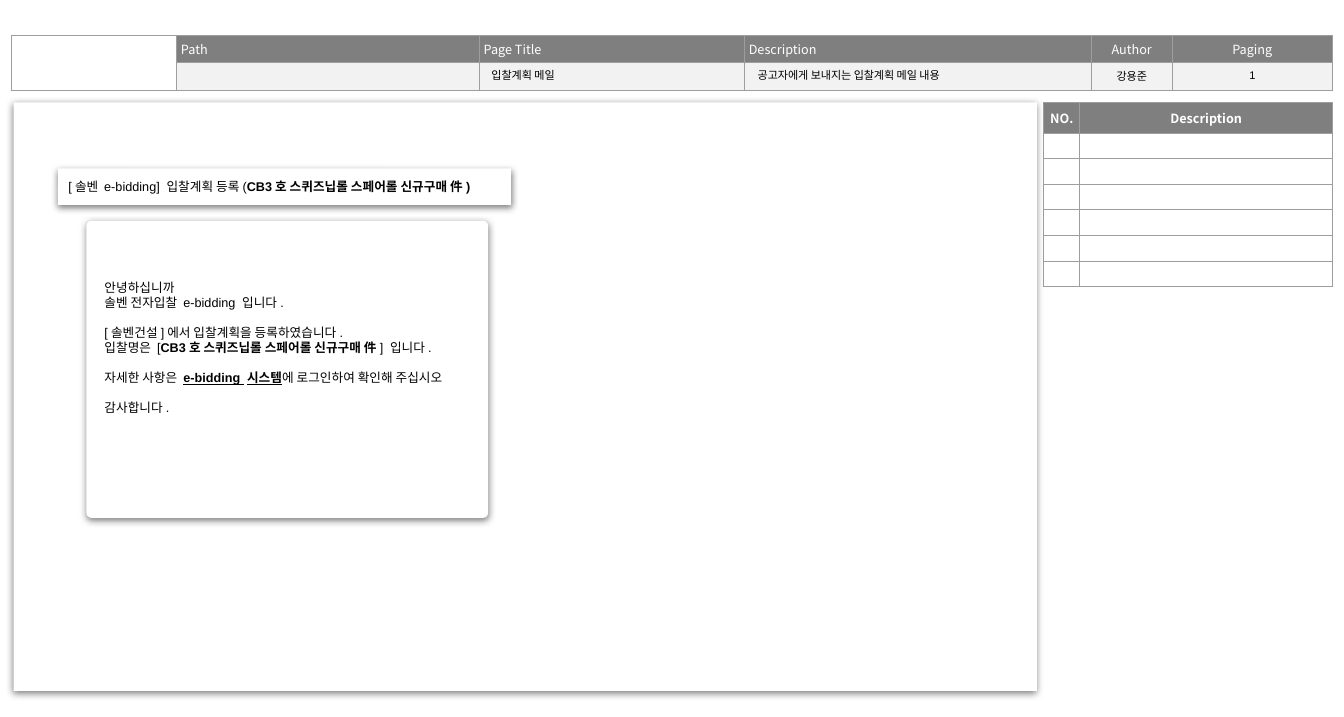
from lxml import etree
from pptx import Presentation
from pptx.dml.color import RGBColor
from pptx.enum.shapes import MSO_SHAPE as Shape
from pptx.enum.text import MSO_ANCHOR as Anchor, MSO_AUTO_SIZE as Fit, PP_ALIGN as Align
from pptx.oxml.ns import qn
from pptx.util import Inches, Pt

WHITE = RGBColor(0xFF, 0xFF, 0xFF)
BLACK = RGBColor(0, 0, 0)
DARK = RGBColor(0x7F, 0x7F, 0x7F)
PALE = RGBColor(0xF2, 0xF2, 0xF2)
RULE = RGBColor(0x9E, 0x9E, 0x9E)
HEAD_FONT = "Noto Sans CJK KR"
BODY_FONT = "Arial"
BID = "CB3호 스퀴즈닙롤 스페어롤 신규구매 件"

# Each part is (text, style); style holds "b" for bold and "u" for underline.
SUBJECT = [("[솔벤 e-bidding] 입찰계획 등록(", ""), (BID + ")", "b")]
# Each line is (starts a new block, parts).
MAIL = [
    (False, [("안녕하십니까", "")]),
    (False, [("솔벤 전자입찰 e-bidding 입니다.", "")]),
    (True, [("[솔벤건설]에서 입찰계획을 등록하였습니다.", "")]),
    (False, [("입찰명은 [", ""), (BID, "b"), ("] 입니다.", "")]),
    (True, [("자세한 사항은 ", ""), ("e-bidding 시스템", "bu"),
            ("에 로그인하여 확인해 주십시오", "")]),
    (True, [("감사합니다.", "")]),
]


def style_run(run, size, color=BLACK, name=BODY_FONT, style=""):
    font = run.font
    font.size, font.name, font.color.rgb = Pt(size), name, color
    font.bold, font.underline = "b" in style, "u" in style


def add_parts(para, parts):
    for text, style in parts:
        run = para.add_run()
        run.text = text
        style_run(run, 8, style=style)


def set_pad(item, pad):
    item.margin_left = item.margin_right = Inches(pad)
    item.margin_top = item.margin_bottom = Inches(pad)


def add_border(cell):
    props = cell._tc.get_or_add_tcPr()
    for side in ("a:lnL", "a:lnR", "a:lnT", "a:lnB"):
        line = etree.SubElement(props, qn(side), w=str(Pt(0.75)))
        fill = etree.SubElement(line, qn("a:solidFill"))
        etree.SubElement(fill, qn("a:srgbClr"), val=str(RULE))


def add_grid(slide, left, top, cols, rows, body):
    """Add a ruled table with a dark first row and the given body fill."""
    frame = slide.shapes.add_table(len(rows), len(cols), Inches(left), Inches(top),
                                   Inches(sum(cols)), Inches(sum(rows)))
    table = frame.table
    table.first_row = table.horz_banding = False
    for col, width in zip(table.columns, cols):
        col.width = Inches(width)
    for index, height in enumerate(rows):
        table.rows[index].height = Inches(height)
        for cell in table.rows[index].cells:
            set_pad(cell, 0.04)
            cell.vertical_anchor = Anchor.MIDDLE
            add_border(cell)
            cell.fill.solid()
            cell.fill.fore_color.rgb = body if index else DARK
            # Small empty text keeps the row at its set height.
            para = cell.text_frame.paragraphs[0]
            etree.SubElement(para._p, qn("a:endParaRPr"), sz="600")
    return table


def set_head(cell, text, align=Align.LEFT, style=""):
    para = cell.text_frame.paragraphs[0]
    para.text = text
    para.alignment = align
    style_run(para.runs[0], 8, WHITE, HEAD_FONT, style)


def add_info(slide):
    cols = [1.45, 2.66, 2.33, 3.05, 0.71, 0.45, 0.44, 0.52]
    table = add_grid(slide, 0.1, 0.31, cols, [0.24] * 2, PALE)
    logo = table.cell(0, 0)
    logo.merge(table.cell(1, 0))
    logo.fill.fore_color.rgb = WHITE
    for row in range(2):
        table.cell(row, 5).merge(table.cell(row, 7))
    for col, text in enumerate(["Path", "Page Title", "Description", "Author", "Paging"], 1):
        set_head(table.cell(0, col), text, Align.CENTER if col > 3 else Align.LEFT)


def add_notes(slide):
    table = add_grid(slide, 9.17, 0.9, [0.32, 2.22], [0.27] + [0.225] * 6, WHITE)
    for col, text in enumerate(["NO.", "Description"]):
        set_head(table.cell(0, col), text, Align.CENTER, "b")


def add_panel(slide, left, top, width, height, kind=Shape.ROUNDED_RECTANGLE, round_by=0.017):
    """Add a white shape without an outline; a rounded one gets a soft shadow."""
    panel = slide.shapes.add_shape(kind, Inches(left), Inches(top),
                                   Inches(width), Inches(height))
    panel.fill.solid()
    panel.fill.fore_color.rgb = WHITE
    panel.line.fill.background()
    panel.shadow.inherit = False
    if kind == Shape.ROUNDED_RECTANGLE:
        panel.adjustments[0] = round_by
        effects = panel._element.spPr.find(qn("a:effectLst"))
        shade = etree.SubElement(effects, qn("a:outerShdw"), blurRad=str(Pt(4.5)),
                                 dist=str(Pt(1.5)), dir="5400000", algn="t", rotWithShape="0")
        color = etree.SubElement(shade, qn("a:srgbClr"), val=str(BLACK))
        etree.SubElement(color, qn("a:alpha"), val="49000")
    return panel


def add_label(slide, left, top, width, text, align=Align.LEFT):
    box = slide.shapes.add_textbox(Inches(left), Inches(top), Inches(width), Inches(0.22))
    frame = box.text_frame
    frame.word_wrap = True
    frame.auto_size = Fit.SHAPE_TO_FIT_TEXT
    para = frame.paragraphs[0]
    para.text = text
    para.alignment = align
    style_run(para.runs[0], 7)


def add_subject(slide):
    frame = add_panel(slide, 0.51, 1.48, 3.98, 0.32).text_frame
    frame.word_wrap = True
    frame.vertical_anchor = Anchor.MIDDLE
    set_pad(frame, 0.09)
    para = frame.paragraphs[0]
    para.alignment = Align.LEFT
    add_parts(para, SUBJECT)


def add_mail(slide):
    frame = add_panel(slide, 0.82, 2.41, 3.43, 1.31, Shape.RECTANGLE).text_frame
    frame.word_wrap = True
    frame.auto_size = Fit.SHAPE_TO_FIT_TEXT
    frame.vertical_anchor = Anchor.TOP
    for index, (gap, parts) in enumerate(MAIL):
        para = frame.add_paragraph() if index else frame.paragraphs[0]
        para.alignment = Align.LEFT
        if gap:
            para.space_before = Pt(9.4)
        add_parts(para, parts)


def main():
    deck = Presentation()
    deck.slide_width, deck.slide_height = Inches(11.81), Inches(6.3)
    slide = deck.slides.add_slide(deck.slide_layouts[6])
    add_info(slide)
    add_notes(slide)
    add_panel(slide, 0.12, 0.9, 8.99, 5.17, round_by=0)
    add_label(slide, 4.22, 0.55, 2.25, "입찰계획 메일")
    add_label(slide, 6.56, 0.55, 3.02, "공고자에게 보내지는 입찰계획 메일 내용")
    add_label(slide, 9.62, 0.56, 0.65, "강용준", Align.CENTER)
    add_label(slide, 10.37, 0.55, 1.27, "1", Align.CENTER)
    add_panel(slide, 0.76, 1.94, 3.53, 2.61)
    add_subject(slide)
    add_mail(slide)
    deck.save("out.pptx")


if __name__ == "__main__":
    main()
